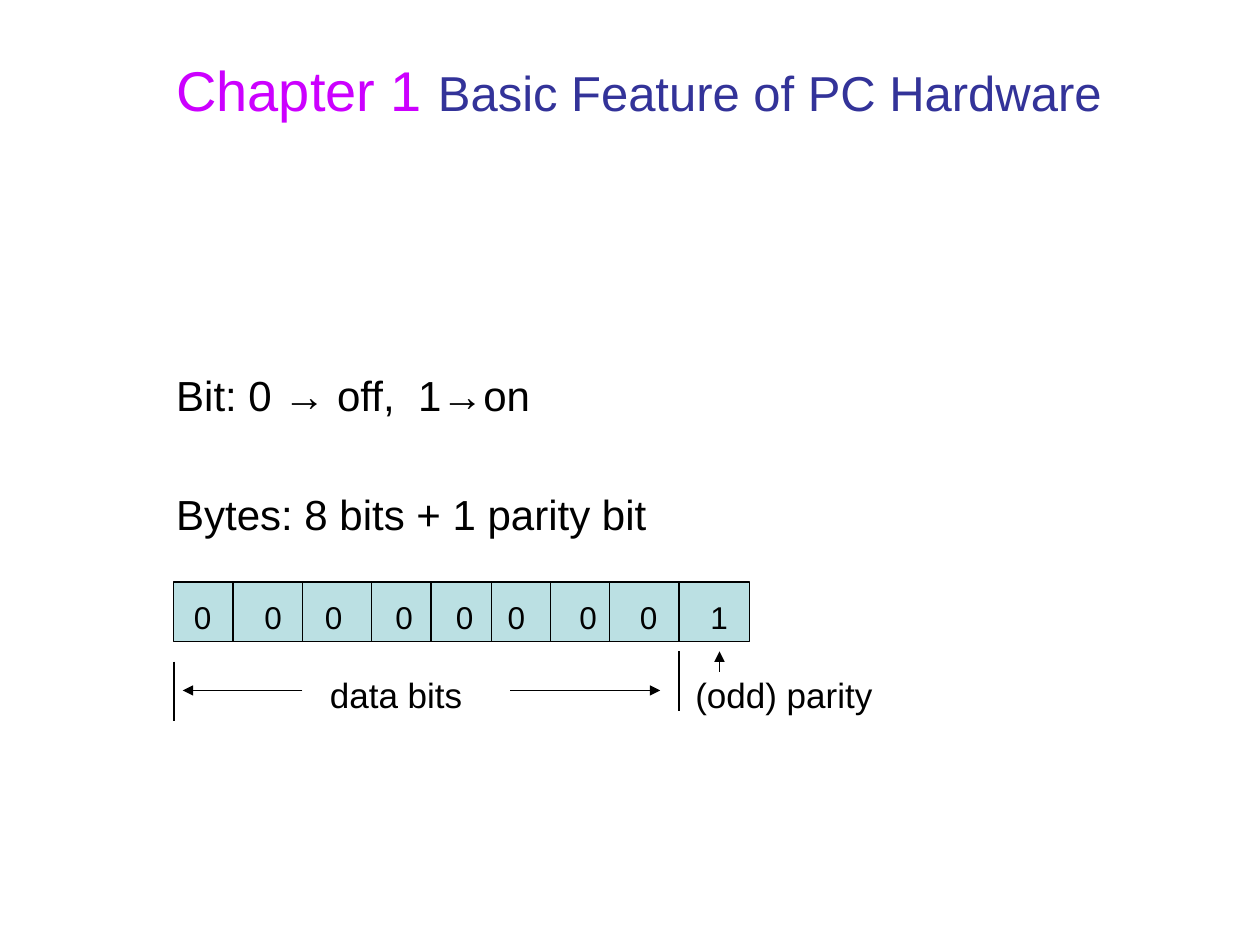
from lxml.etree import SubElement
from pptx import Presentation
from pptx.dml.color import RGBColor
from pptx.enum.shapes import MSO_CONNECTOR, MSO_SHAPE
from pptx.oxml.ns import qn
from pptx.util import Inches, Pt

BLACK = "000000"
BAR_LEFT, BAR_TOP, BAR_HEIGHT = 1.38, 4.62, 0.47
BAR_BOTTOM = BAR_TOP + BAR_HEIGHT
EDGES = [1.85, 2.4, 2.95, 3.42, 3.9, 4.37, 4.84, 5.39]
BAR_RIGHT = 5.95
BITS = "000000001"
BIT_CENTERS = [1.61, 2.17, 2.65, 3.21, 3.69, 4.1, 4.67, 5.15, 5.71]
LABELS = ["data bits", "(odd) parity"]
LABEL_STARTS = [2.62, 5.52]
INSET = 0.1

TEXTS = [
    dict(box=(1.3, 0.39, 7.7, 0.64),
         runs=[("Chapter 1 ", 32, "CC00FF"),
               ("Basic Feature of PC Hardware", 28, "333399")]),
    dict(box=(1.3, 2.88, 3.25, 0.5), runs=[("Bit: 0 → off,  1→on", 24, BLACK)]),
    dict(box=(1.3, 3.83, 4.1, 0.5),
         runs=[("Bytes: 8 bits + 1 parity bit", 24, BLACK)]),
    dict(box=(BAR_LEFT, 4.7, 4.8, 0.4), stops=BIT_CENTERS, align="ctr",
         runs=[("".join("\t" + bit for bit in BITS), 18, BLACK)]),
    dict(box=(1.67, 5.3, 5.6, 0.44), stops=LABEL_STARTS, align="l",
         runs=[("".join("\t" + label for label in LABELS), 20, BLACK)]),
]
DIVIDERS = [(x, BAR_TOP, x, BAR_BOTTOM) for x in EDGES]
BOUNDS = [(BAR_LEFT, 5.25, BAR_LEFT, 5.72), (5.39, 5.17, 5.39, 5.64)]
ARROWS = [(2.4, 5.48, 1.45, 5.48), (4.05, 5.48, 5.24, 5.48),
          (5.71, 5.33, 5.71, 5.17)]


def rgb(value):
    return RGBColor.from_string(value)


def add_text(s, box, runs, stops=(), align="l"):
    tf = s.shapes.add_textbox(*map(Inches, box)).text_frame
    tf.word_wrap = True
    p = tf.paragraphs[0]
    if stops:
        tabs = SubElement(p._p.get_or_add_pPr(), qn("a:tabLst"))
        for x in stops:
            offset = Inches(x - box[0] - INSET)
            SubElement(tabs, qn("a:tab"), pos=str(offset), algn=align)
    for text, size, color in runs:
        r = p.add_run()
        r.text = text
        for key, value in dict(name="Arial", size=Pt(size)).items():
            setattr(r.font, key, value)
        r.font.color.rgb = rgb(color)


def style_line(line):
    line.color.rgb = rgb(BLACK)
    line.width = Pt(0.75)


def add_line(s, ends, arrow=False):
    c = s.shapes.add_connector(MSO_CONNECTOR.STRAIGHT, *map(Inches, ends))
    style_line(c.line)
    if arrow:
        SubElement(c.line._get_or_add_ln(), qn("a:tailEnd"), type="triangle")
    SubElement(c._element.spPr, qn("a:effectLst"))


def add_bar(s):
    box = (BAR_LEFT, BAR_TOP, BAR_RIGHT - BAR_LEFT, BAR_HEIGHT)
    sp = s.shapes.add_shape(MSO_SHAPE.RECTANGLE, *map(Inches, box))
    sp.shadow.inherit = False
    sp.fill.solid()
    sp.fill.fore_color.rgb = rgb("BBE0E3")
    style_line(sp.line)


def main():
    prs = Presentation()
    prs.slide_width, prs.slide_height = Inches(10), Inches(7.5)
    s = prs.slides.add_slide(prs.slide_layouts[6])
    add_bar(s)
    for ends in DIVIDERS + BOUNDS:
        add_line(s, ends)
    for ends in ARROWS:
        add_line(s, ends, arrow=True)
    for item in TEXTS:
        add_text(s, **item)
    prs.save("out.pptx")


if __name__ == "__main__":
    main()
